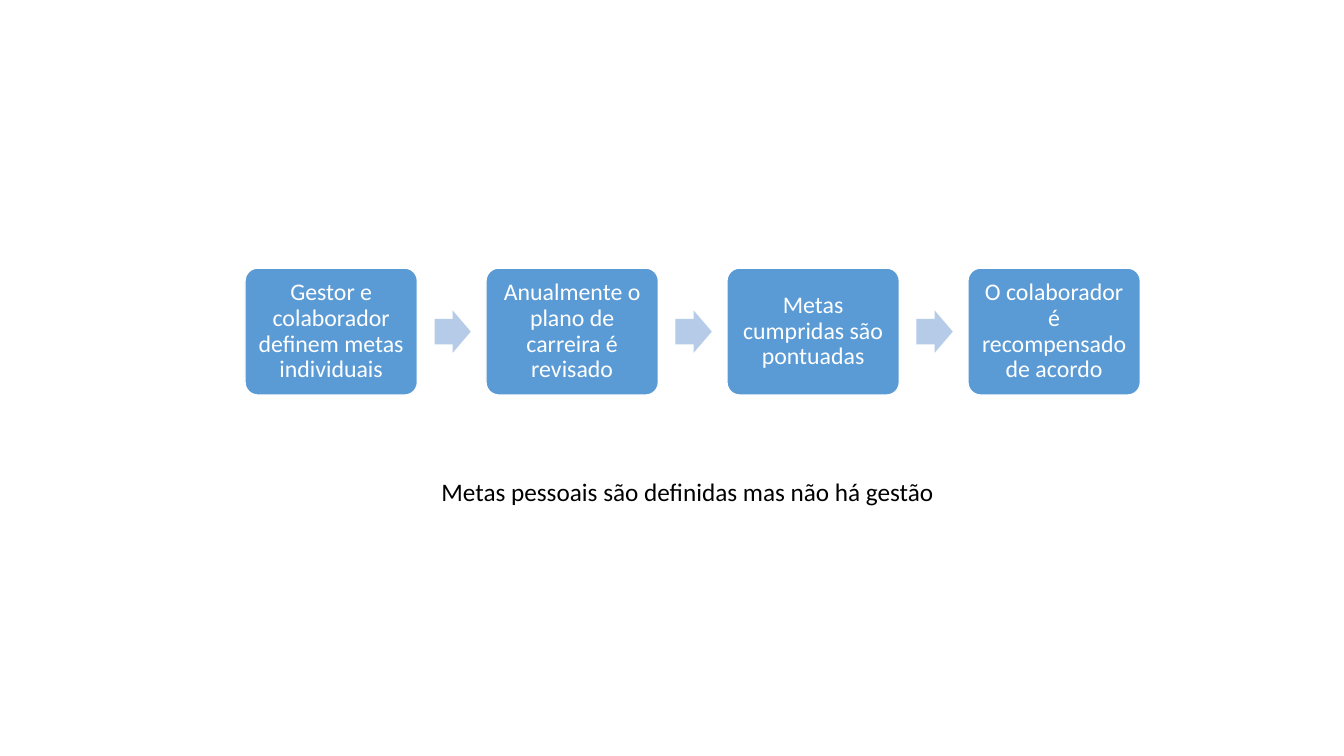
from pptx import Presentation
from pptx.dml.color import RGBColor
from pptx.enum.shapes import MSO_SHAPE
from pptx.enum.text import MSO_ANCHOR, PP_ALIGN
from pptx.util import Inches, Pt

STEPS = [
    "Gestor e colaborador definem metas individuais",
    "Anualmente o plano de carreira é revisado",
    "Metas cumpridas são pontuadas",
    "O colaborador é recompensado de acordo",
]
NOTE = "Metas pessoais são definidas mas não há gestão"
FONT = "Calibri"
BLUE, PALE, WHITE, BLACK = "5B9BD5", "B5CBE7", "FFFFFF", "000000"

LEFT, TOP, PITCH = 2.43, 2.66, 2.39
BOX_W, BOX_H = 1.71, 1.26
ARROW_W, ARROW_H = 0.36, 0.42
ARROW_GAP = 0.17
INSET = 0.07


def color(code):
    return RGBColor.from_string(code)


def write(shape, text, size=18, ink=BLACK, align=PP_ALIGN.LEFT,
          anchor=MSO_ANCHOR.TOP, spacing=1.0, inset=None):
    frame = shape.text_frame
    frame.word_wrap = True
    frame.vertical_anchor = anchor
    if inset is not None:
        frame.margin_left = frame.margin_right = Inches(inset)
        frame.margin_top = frame.margin_bottom = Inches(inset)
    para = frame.paragraphs[0]
    para.alignment = align
    para.line_spacing = spacing
    run = para.add_run()
    run.text = text
    run.font.name = FONT
    run.font.size = Pt(size)
    run.font.color.rgb = color(ink)


def draw(slide, kind, box, fill, adjust, line=None):
    shape = slide.shapes.add_shape(kind, *map(Inches, box))
    shape.shadow.inherit = False
    shape.fill.solid()
    shape.fill.fore_color.rgb = color(fill)
    for i, value in enumerate(adjust):
        shape.adjustments[i] = value
    if line:
        shape.line.color.rgb = color(line)
        shape.line.width = Pt(1)
    else:
        shape.line.fill.background()
    return shape


def main():
    deck = Presentation()
    deck.slide_width, deck.slide_height = Inches(13.33), Inches(7.5)
    slide = deck.slides.add_slide(deck.slide_layouts[6])

    for i, text in enumerate(STEPS):
        left = LEFT + i * PITCH
        step = draw(slide, MSO_SHAPE.ROUNDED_RECTANGLE,
                    (left, TOP, BOX_W, BOX_H), BLUE, [0.1], line=WHITE)
        write(step, text, size=17, ink=WHITE, align=PP_ALIGN.CENTER,
              anchor=MSO_ANCHOR.MIDDLE, spacing=0.9, inset=INSET)
        if i < len(STEPS) - 1:
            arrow = (left + BOX_W + ARROW_GAP, TOP + (BOX_H - ARROW_H) / 2,
                     ARROW_W, ARROW_H)
            draw(slide, MSO_SHAPE.RIGHT_ARROW, arrow, PALE, [0.6, 0.5])

    note = slide.shapes.add_textbox(*map(Inches, (4.28, 4.68, 5.17, 0.4)))
    write(note, NOTE)
    deck.save("out.pptx")


if __name__ == "__main__":
    main()
